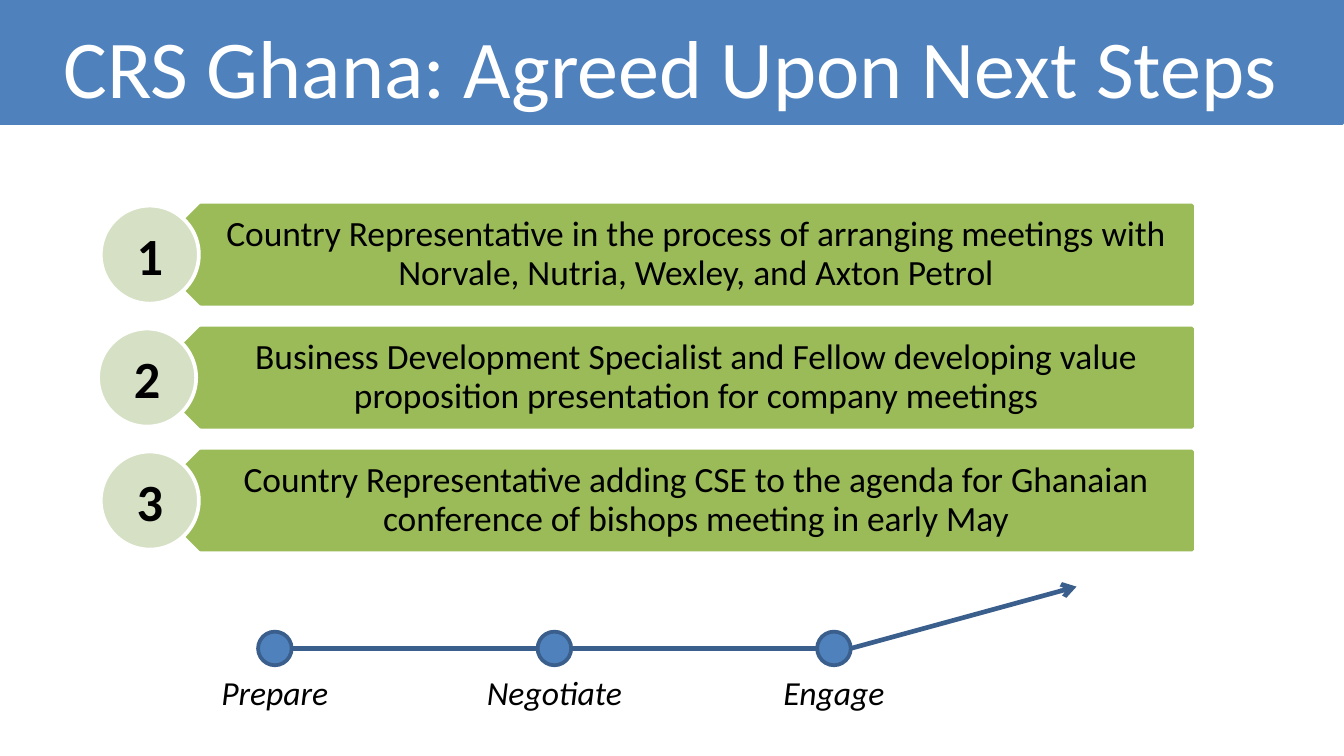
import pptx
import pptx.util
import pptx.dml.color
import pptx.enum.shapes
import pptx.enum.text
import pptx.oxml.ns
from lxml import etree

Inches = pptx.util.Inches
Pt = pptx.util.Pt
SHAPE = pptx.enum.shapes.MSO_SHAPE

COLORS = {
    "blue": "4F81BD",
    "dark_blue": "3A5F8C",
    "green": "9BBB59",
    "pale_green": "D5E0C4",
    "white": "FFFFFF",
    "black": "000000",
}
STEPS = [
    "Country Representative in the process of arranging meetings with "
    "Norvale, Nutria, Wexley, and Axton Petrol",
    "Business Development Specialist and Fellow developing value "
    "proposition presentation for company meetings",
    "Country Representative adding CSE to the agenda for Ghanaian "
    "conference of bishops meeting in early May",
]
STAGES = ["Prepare", "Negotiate", "Engage"]


def rgb(name):
    return pptx.dml.color.RGBColor.from_string(COLORS[name])


def style(sp, fill, line, width=2):
    sp.shadow.inherit = False
    sp.fill.solid()
    sp.fill.fore_color.rgb = rgb(fill)
    sp.line.color.rgb = rgb(line)
    sp.line.width = Pt(width)


def write(sp, text, size, color="black", bold=False, italic=False, middle=True):
    tf = sp.text_frame
    tf.text = text
    tf.word_wrap = True
    if middle:
        tf.vertical_anchor = pptx.enum.text.MSO_ANCHOR.MIDDLE
    p = tf.paragraphs[0]
    p.alignment = pptx.enum.text.PP_ALIGN.CENTER
    font = p.runs[0].font
    font.name, font.size = "Calibri", Pt(size)
    font.bold, font.italic = bold, italic
    font.color.rgb = rgb(color)
    return tf


def add_oval(s, x, y, size, fill, line):
    sp = s.shapes.add_shape(SHAPE.OVAL, Inches(x), Inches(y), Inches(size), Inches(size))
    style(sp, fill, line)
    return sp


def add_line(s, x1, y1, x2, y2, arrow=False):
    line = s.shapes.add_connector(pptx.enum.shapes.MSO_CONNECTOR.STRAIGHT,
                                  Inches(x1), Inches(y1), Inches(x2), Inches(y2))
    line.line.color.rgb = rgb("dark_blue")
    line.line.width = Pt(2.5)
    if arrow:
        etree.SubElement(line.line._get_or_add_ln(),
                         pptx.oxml.ns.qn("a:tailEnd"), type="arrow")
    etree.SubElement(line.element.spPr, pptx.oxml.ns.qn("a:effectLst"))


def add_title(s, text, x, y, w, h):
    band = s.shapes.add_shape(SHAPE.RECTANGLE, Inches(x), Inches(y), Inches(w), Inches(h))
    style(band, "blue", "blue")
    title = s.shapes.title
    title.element.addprevious(band.element)  # band lies behind the title
    title.left, title.top = Inches(x + 0.25), Inches(y + 0.03)
    title.width, title.height = Inches(w - 0.5), Inches(h + 0.01)
    write(title, text, 44, "white")


def add_step(s, number, text, x, y, w, h, badge_x):
    # Banner with a pointed left end
    notch = h / 2
    points = [(x + w, y + h), (x + notch, y + h), (x, y + h / 2),
              (x + notch, y), (x + w, y)]
    points = [(Inches(px), Inches(py)) for px, py in points]
    builder = s.shapes.build_freeform(*points[0])
    builder.add_line_segments(points[1:], close=True)
    banner = builder.convert_to_shape()
    style(banner, "green", "green")
    tf = write(banner, text, 19)
    tf.margin_left, tf.margin_right = Inches(0.51), Inches(0.15)
    tf.margin_top = tf.margin_bottom = Inches(0.08)
    tf.paragraphs[0].line_spacing = 0.9

    # Number badge over the point
    badge = add_oval(s, badge_x, y, h, "pale_green", "white")
    write(badge, str(number), 28, bold=True)


def add_timeline(s, stages, x, y, pitch, dot):
    label_w = 1.42
    middle = y + dot / 2
    for i, stage in enumerate(stages):
        left = x + i * pitch
        add_oval(s, left, y, dot, "blue", "dark_blue")
        if i < len(stages) - 1:
            add_line(s, left + dot, middle, left + pitch, middle)
        else:
            add_line(s, left + dot, middle, left + dot + 1.68, middle - 0.46, arrow=True)
        label = s.shapes.add_textbox(Inches(left + dot / 2 - label_w / 2),
                                     Inches(y + dot), Inches(label_w), Inches(0.42))
        tf = write(label, stage, 18, italic=True, middle=False)
        tf.auto_size = pptx.enum.text.MSO_AUTO_SIZE.SHAPE_TO_FIT_TEXT


def main():
    prs = pptx.Presentation()
    prs.slide_width = Inches(10)
    prs.slide_height = prs.slide_width * 9 // 16
    s = prs.slides.add_slide(prs.slide_layouts[5])

    add_title(s, "CRS Ghana: Agreed Upon Next Steps", -0.01, -0.01, 10, 0.93)

    # Three steps, evenly spaced from the first top to the last
    top, last_top = 1.53, 3.36
    pitch = (last_top - top) / (len(STEPS) - 1)
    badge_lefts = [0.75, 0.73, 0.75]
    for i, (text, badge_x) in enumerate(zip(STEPS, badge_lefts)):
        add_step(s, i + 1, text, 1.13, top + i * pitch, 7.74, 0.73, badge_x)

    add_timeline(s, STAGES, 1.92, 4.7, 2.08, 0.25)

    prs.save("out.pptx")


if __name__ == "__main__":
    main()
